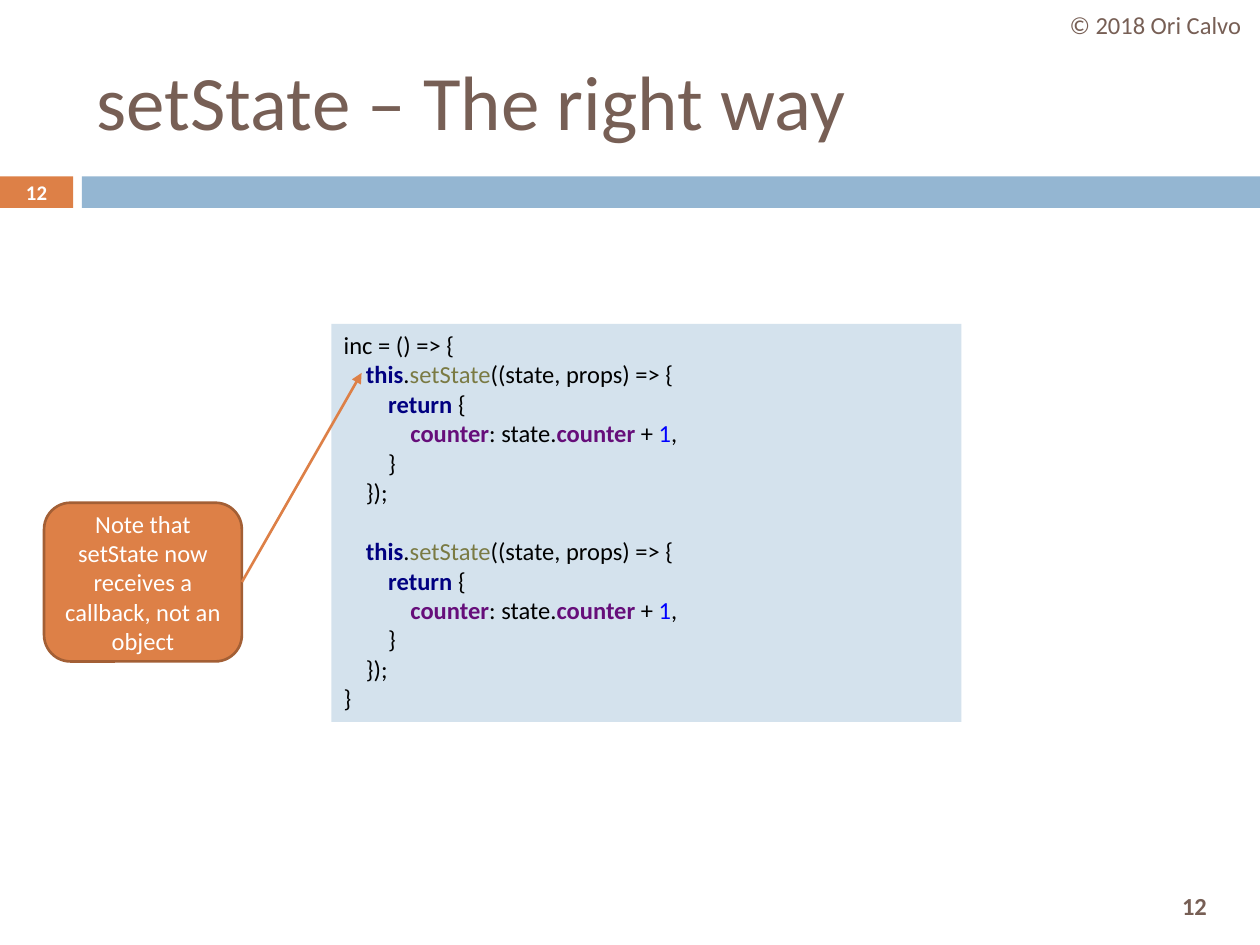
from dataclasses import dataclass
from lxml.etree import SubElement
from pptx import Presentation
from pptx.dml.color import RGBColor
from pptx.enum.shapes import MSO_CONNECTOR, MSO_SHAPE
from pptx.enum.text import MSO_ANCHOR, PP_ALIGN
from pptx.oxml.ns import qn
from pptx.util import Inches, Pt


@dataclass(frozen=True)
class Theme:
    font: str = "Calibri"
    brown: str = "775F55"
    orange: str = "DD8047"
    rust: str = "A35F35"
    blue: str = "94B6D2"
    pale: str = "D4E2ED"
    white: str = "FFFFFF"
    head: float = 44
    body: float = 14
    small: float = 11.9
    line: float = 1.5
    step: float = 12.7
    gap: float = 17


look = Theme()
wide, high = 10, 7.5
page = "12"
title = "setState – The right way"
credit = "© 2018 Ori Calvo"
note = "Note that setState now receives a callback, not an object"
tints = {"plain": ("000000", False), "key": ("000080", True),
         "call": ("7A7A43", False), "field": ("660E7A", True),
         "num": ("0000FF", False)}
block = [
    (1, [("key", "this"), ("plain", "."), ("call", "setState"),
         ("plain", "((state, props) => {")]),
    (2, [("key", "return "), ("plain", "{")]),
    (3, [("field", "counter"), ("plain", ": state."), ("field", "counter "),
         ("plain", "+ "), ("num", "1"), ("plain", ",")]),
    (2, [("plain", "}")]),
    (1, [("plain", "});")]),
]
code = [(0, [("plain", "inc = () => {")]), *block, *block, (0, [("plain", "}")])]
second = 1 + len(block)

deck = Presentation()
deck.slide_width, deck.slide_height = Inches(wide), Inches(high)
slide = deck.slides.add_slide(deck.slide_layouts[6])


def color(tone):
    return RGBColor.from_string(tone)


def write(para, text, size, tone, bold=False):
    run = para.add_run()
    run.text = text
    font = run.font
    font.name, font.size, font.bold = look.font, Pt(size), bold
    font.color.rgb = color(tone)


def panel(box, fill, kind=MSO_SHAPE.RECTANGLE, edge=None):
    shape = slide.shapes.add_shape(kind, *map(Inches, box))
    shape.shadow.inherit = False
    shape.fill.solid()
    shape.fill.fore_color.rgb = color(fill)
    if edge:
        shape.line.color.rgb = color(edge)
        shape.line.width = Pt(look.line)
    else:
        shape.line.fill.background()
    return shape


def label(shape, text, size, tone, bold=False, align=PP_ALIGN.CENTER):
    frame = shape.text_frame
    frame.word_wrap = True
    frame.vertical_anchor = MSO_ANCHOR.MIDDLE
    para = frame.paragraphs[0]
    para.alignment = align
    write(para, text, size, tone, bold)


def textbox(box):
    return slide.shapes.add_textbox(*map(Inches, box))


top, thick, tab, start = 1.4, 0.25, 0.58, 0.65
panel((0, top, tab, thick), look.orange)
panel((start, top, wide - start, thick), look.blue)
label(textbox((9.02, 6.98, 0.92, 0.42)), page, look.body, look.brown, True)
label(textbox((0.67, 0.25, 8.92, 1.08)), title, look.head, look.brown,
      align=PP_ALIGN.LEFT)
label(textbox((wide - 1.66, 0, 1.66, 0.4)), credit, look.body, look.brown)
label(textbox((0, top - 0.01, tab, 0.27)), page, look.small, look.white, True)

frame = panel((2.63, 2.57, wide / 2, 3.16), look.pale).text_frame
frame.word_wrap = True
frame.vertical_anchor = MSO_ANCHOR.TOP
for row, (level, parts) in enumerate(code):
    para = frame.add_paragraph() if row else frame.paragraphs[0]
    para.alignment = PP_ALIGN.LEFT
    props = para._p.get_or_add_pPr()
    props.set("marL", str(int(Pt(level * look.step))))
    props.set("indent", "0")
    if row == second:
        para.space_before = Pt(look.gap)
    for kind, text in parts:
        tone, bold = tints[kind]
        write(para, text, look.body, tone, bold)

left, up, width, height = spot = (0.35, 3.99, 1.57, 1.26)
label(panel(spot, look.orange, MSO_SHAPE.ROUNDED_RECTANGLE, look.rust),
      note, look.body, look.white)

ends = (left + width, up + height / 2, 2.87, 2.96)
arrow = slide.shapes.add_connector(MSO_CONNECTOR.STRAIGHT, *map(Inches, ends))
arrow.line.color.rgb = color(look.orange)
arrow.line.width = Pt(look.line)
SubElement(arrow.line._get_or_add_ln(), qn("a:tailEnd"), type="triangle")
SubElement(arrow._element.spPr, qn("a:effectLst"))

deck.save("out.pptx")
